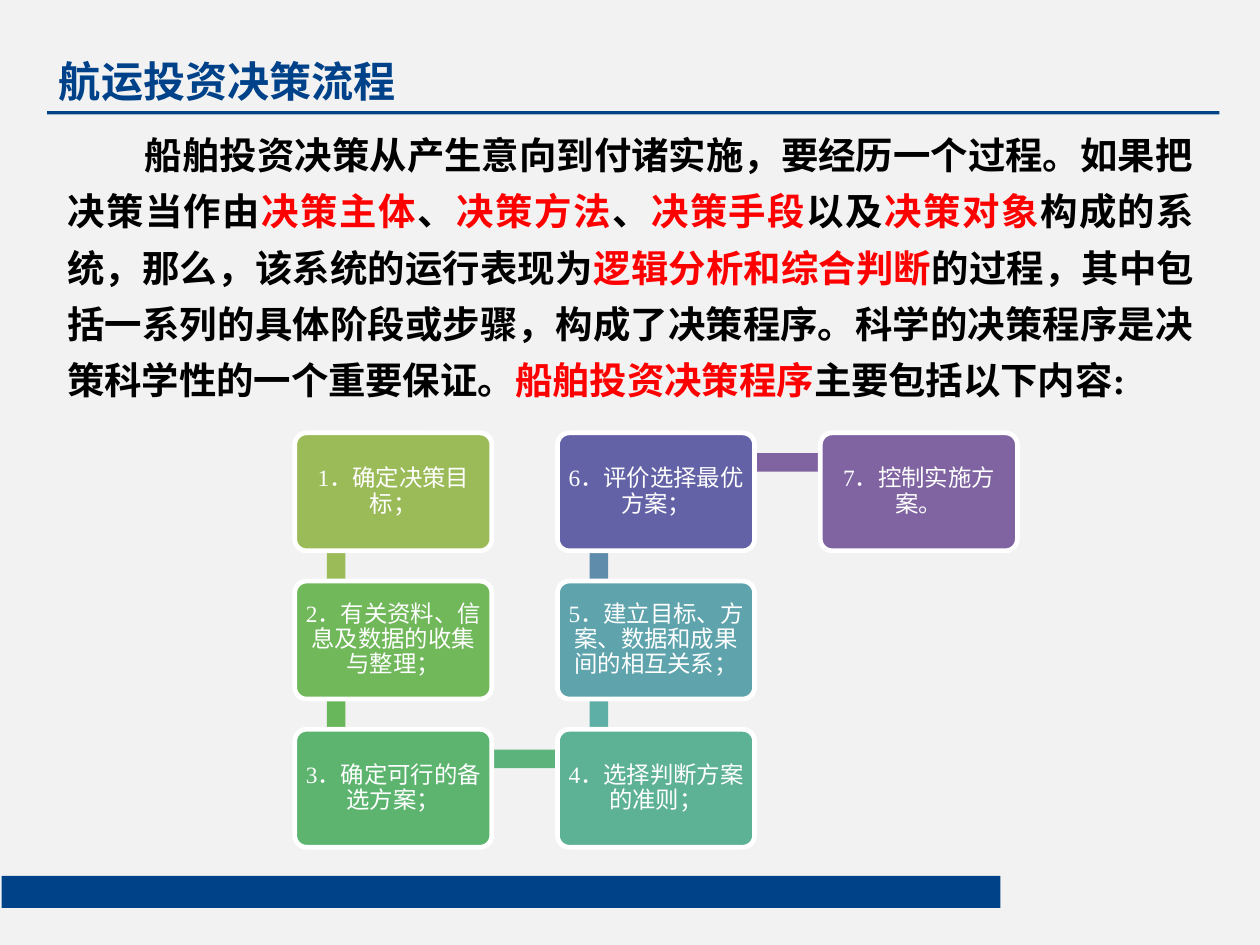
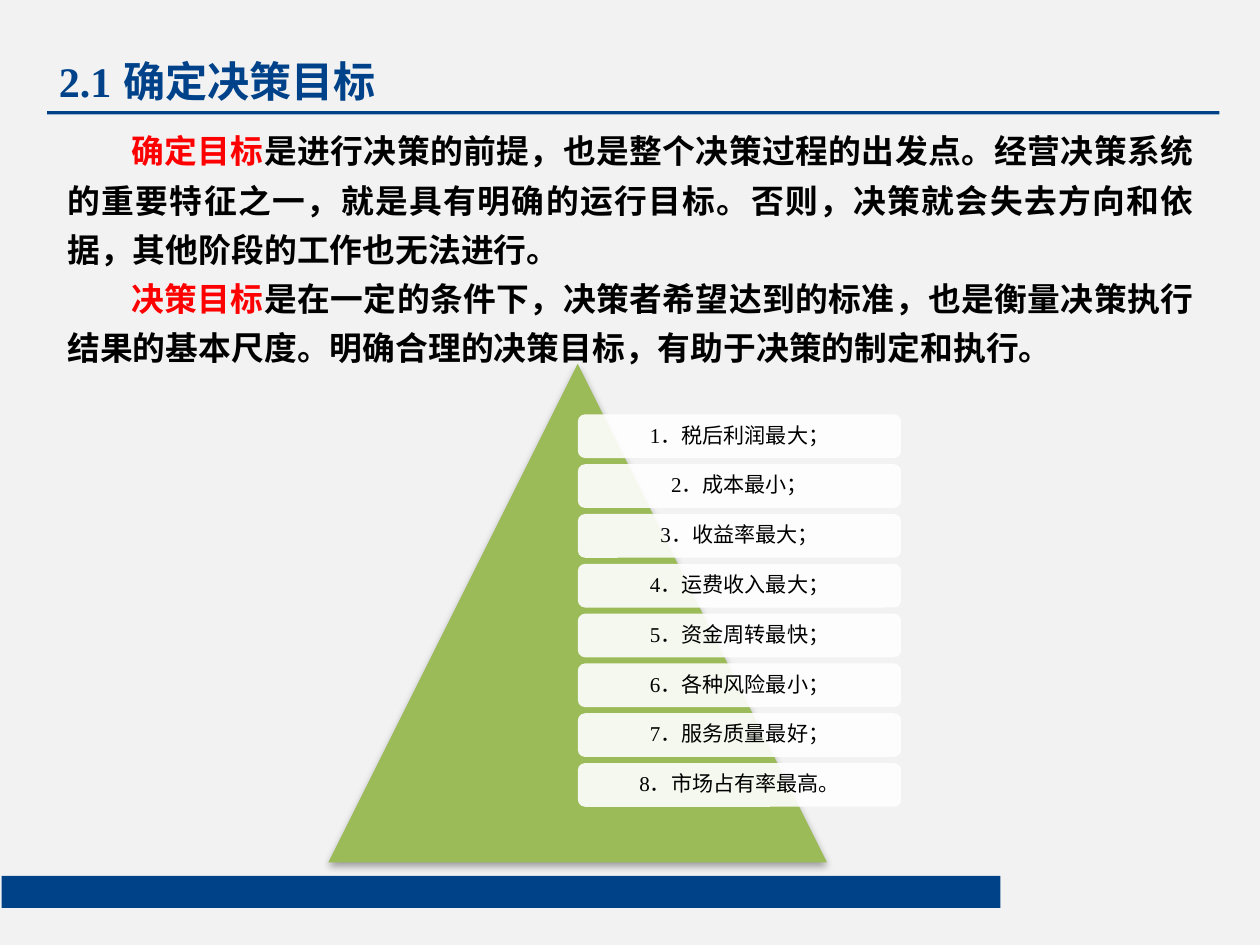
from dataclasses import dataclass

from lxml.etree import SubElement
from pptx import Presentation
from pptx.dml.color import RGBColor
from pptx.enum.lang import MSO_LANGUAGE_ID
from pptx.enum.shapes import MSO_SHAPE
from pptx.enum.text import MSO_ANCHOR, PP_ALIGN
from pptx.oxml.ns import qn
from pptx.util import Inches, Pt

COLORS = {
    "page": "F2F2F2", "band": "004288", "title": "004289",
    "black": "000000", "red": "FF0000", "white": "FFFFFF", "olive": "9BBB59",
}
SERIF, SANS = "Times New Roman", "Arial"


@dataclass
class Span:
    text: str
    color: str = COLORS["black"]
    font: str = SERIF


@dataclass
class Frame:
    left: float
    top: float
    width: float
    height: float

    def lengths(self) -> list:
        return [Inches(value) for value in (self.left, self.top, self.width, self.height)]


@dataclass
class Step:
    text: str
    column: int
    row: int
    fill: str


@dataclass
class Link:
    column: int
    row: int
    vertical: bool
    fill: str


def key(text: str) -> Span:
    return Span(text, COLORS["red"])


def heading(text: str, font: str = SANS) -> Span:
    return Span(text, COLORS["title"], font)


# Shared drawing functions
def add_spans(para, spans: list[Span], size: float, bold: bool = False) -> None:
    # Punctuation stays inside the margins
    para._p.get_or_add_pPr().set("hangingPunct", "0")
    for span in spans:
        run = para.add_run()
        run.text = span.text
        font = run.font
        font.name, font.size, font.bold = span.font, Pt(size), bold
        font.color.rgb = RGBColor.from_string(span.color)
        font.language_id = MSO_LANGUAGE_ID.SIMPLIFIED_CHINESE


def set_margins(text_frame, side: float, end: float) -> None:
    text_frame.margin_left = text_frame.margin_right = Inches(side)
    text_frame.margin_top = text_frame.margin_bottom = Inches(end)


def add_box(page, frame: Frame, kind: MSO_SHAPE, fill: str):
    box = page.shapes.add_shape(kind, *frame.lengths())
    box.shadow.inherit = False
    box.fill.solid()
    box.fill.fore_color.rgb = RGBColor.from_string(fill)
    box.line.fill.background()
    return box


def add_label(box, text: str, size: float, color: str) -> None:
    text_frame = box.text_frame
    text_frame.word_wrap = True
    text_frame.vertical_anchor = MSO_ANCHOR.MIDDLE
    set_margins(text_frame, 0.04, 0.04)
    para = text_frame.paragraphs[0]
    para.alignment = PP_ALIGN.CENTER
    para.line_spacing = 0.9
    add_spans(para, [Span(text, color)], size)


def add_page(deck, title: list[Span]):
    page = deck.slides.add_slide(deck.slide_layouts[6])
    for band in (Frame(0.01, 5.2, 5.93, 0.19), Frame(0.28, 0.66, 6.96, 0.02)):
        add_box(page, band, MSO_SHAPE.RECTANGLE, COLORS["band"])
    box = page.shapes.add_textbox(*Frame(0.28, 0.29, 2.16, 0.4).lengths())
    box.text_frame.word_wrap = False
    set_margins(box.text_frame, 0.07, 0.04)
    add_spans(box.text_frame.paragraphs[0], title, 18, True)
    return page


def add_body(page, height: float, size: float, indent: float,
             paragraphs: list[list[Span]]) -> None:
    box = page.shapes.add_textbox(*Frame(0.33, 0.68, 6.83, height).lengths())
    text_frame = box.text_frame
    text_frame.word_wrap = True
    set_margins(text_frame, 0.07, 0.04)
    for index, spans in enumerate(paragraphs):
        para = text_frame.add_paragraph() if index else text_frame.paragraphs[0]
        para.alignment = PP_ALIGN.JUSTIFY
        para.line_spacing = 1.25
        properties = para._p.get_or_add_pPr()
        properties.set("marL", "0")
        properties.set("indent", str(Inches(indent)))
        add_spans(para, spans, size, True)


# Slide 1: decision process
STEPS = [
    Step("1．确定决策目标；", 0, 0, COLORS["olive"]),
    Step("2．有关资料、信息及数据的收集与整理；", 0, 1, "70B85A"),
    Step("3．确定可行的备选方案；", 0, 2, "5CB46F"),
    Step("4．选择判断方案的准则；", 1, 2, "5DB195"),
    Step("5．建立目标、方案、数据和成果间的相互关系；", 1, 1, "5FA4AD"),
    Step("6．评价选择最优方案；", 1, 0, "6362A6"),
    Step("7．控制实施方案。", 2, 0, "8064A2"),
]
LINKS = [
    Link(0, 0, True, COLORS["olive"]),
    Link(0, 1, True, "69B75B"),
    Link(0, 2, False, "5CB37C"),
    Link(1, 1, True, "5EAFA6"),
    Link(1, 0, True, "608CAB"),
    Link(1, 0, False, "8064A2"),
]


def card_frame(column: int, row: int) -> Frame:
    return Frame(1.75 + 1.56 * column, 2.57 + 0.88 * row, 1.17, 0.7)


def draw_process(deck) -> None:
    page = add_page(deck, [heading("航运投资决策流程")])
    add_body(page, 2.06, 16, 0.46, [[
        Span("船舶投资决策从产生意向到付诸实施，要经历一个过程。如果把决策当作由"),
        key("决策主体"), Span("、"), key("决策方法"), Span("、"), key("决策手段"),
        Span("以及"), key("决策对象"), Span("构成的系统，那么，该系统的运行表现为"),
        key("逻辑分析和综合判断"),
        Span("的过程，其中包括一系列的具体阶段或步骤，构成了决策程序。"
             "科学的决策程序是决策科学性的一个重要保证。"),
        key("船舶投资决策程序"), Span("主要包括以下内容:"),
    ]])
    # Links lie behind the cards
    for link in LINKS:
        card = card_frame(link.column, link.row)
        if link.vertical:
            bar = Frame(card.left + 0.19, card.top + 0.18, 0.11, 0.87)
        else:
            bar = Frame(card.left + 0.24, card.top + 0.12, 1.55, 0.11)
        add_box(page, bar, MSO_SHAPE.RECTANGLE, link.fill)
    for step in STEPS:
        box = add_box(page, card_frame(step.column, step.row),
                      MSO_SHAPE.ROUNDED_RECTANGLE, step.fill)
        box.adjustments[0] = 0.1
        box.line.color.rgb = RGBColor.from_string(COLORS["white"])
        box.line.width = Pt(2)
        add_label(box, step.text, 10, COLORS["white"])


# Slide 2: decision goals
GOALS = [
    "1．税后利润最大；", "2．成本最小；", "3．收益率最大；", "4．运费收入最大；",
    "5．资金周转最快；", "6．各种风险最小；", "7．服务质量最好；", "8．市场占有率最高。",
]


def add_alpha(color_element, percent: int) -> None:
    SubElement(color_element, qn("a:alpha")).set("val", str(percent * 1000))


def add_soft_shadow(box) -> None:
    effects = box._element.spPr.find(qn("a:effectLst"))
    shadow = SubElement(effects, qn("a:outerShdw"), blurRad=str(Pt(3.1)),
                        dist=str(Pt(1.8)), dir="5400000", rotWithShape="0")
    color = SubElement(shadow, qn("a:srgbClr"), val=COLORS["black"])
    add_alpha(color, 35)


def draw_goals(deck) -> None:
    page = add_page(deck, [heading("2.1", SERIF), heading(" 确定决策目标")])
    add_body(page, 1.52, 14, 0.38, [
        [key("确定目标"),
         Span("是进行决策的前提，也是整个决策过程的出发点。经营决策系统的重要特征之一，"
              "就是具有明确的运行目标。否则，决策就会失去方向和依据，其他阶段的工作也无法进行。")],
        [key("决策目标"),
         Span("是在一定的条件下，决策者希望达到的标准，也是衡量决策执行结果的基本尺度。"
              "明确合理的决策目标，有助于决策的制定和执行。")],
    ])
    pyramid = Frame(1.95, 2.16, 2.96, 2.96)
    add_soft_shadow(add_box(page, pyramid, MSO_SHAPE.ISOSCELES_TRIANGLE, COLORS["olive"]))
    # Goals start at the pyramid's axis, equally spaced
    first_top, last_top = 2.46, 4.53
    pitch = (last_top - first_top) / (len(GOALS) - 1)
    for index, goal in enumerate(GOALS):
        frame = Frame(pyramid.left + pyramid.width / 2, first_top + pitch * index, 1.92, 0.26)
        box = add_box(page, frame, MSO_SHAPE.ROUNDED_RECTANGLE, COLORS["white"])
        add_alpha(box._element.spPr.find(qn("a:solidFill"))[0], 90)
        add_label(box, goal, 9, COLORS["black"])


def main() -> None:
    deck = Presentation()
    deck.slide_width, deck.slide_height = Inches(7.48), Inches(5.61)
    background = deck.slide_master.background.fill
    background.solid()
    background.fore_color.rgb = RGBColor.from_string(COLORS["page"])
    draw_process(deck)
    draw_goals(deck)
    deck.save("out.pptx")


if __name__ == "__main__":
    main()
